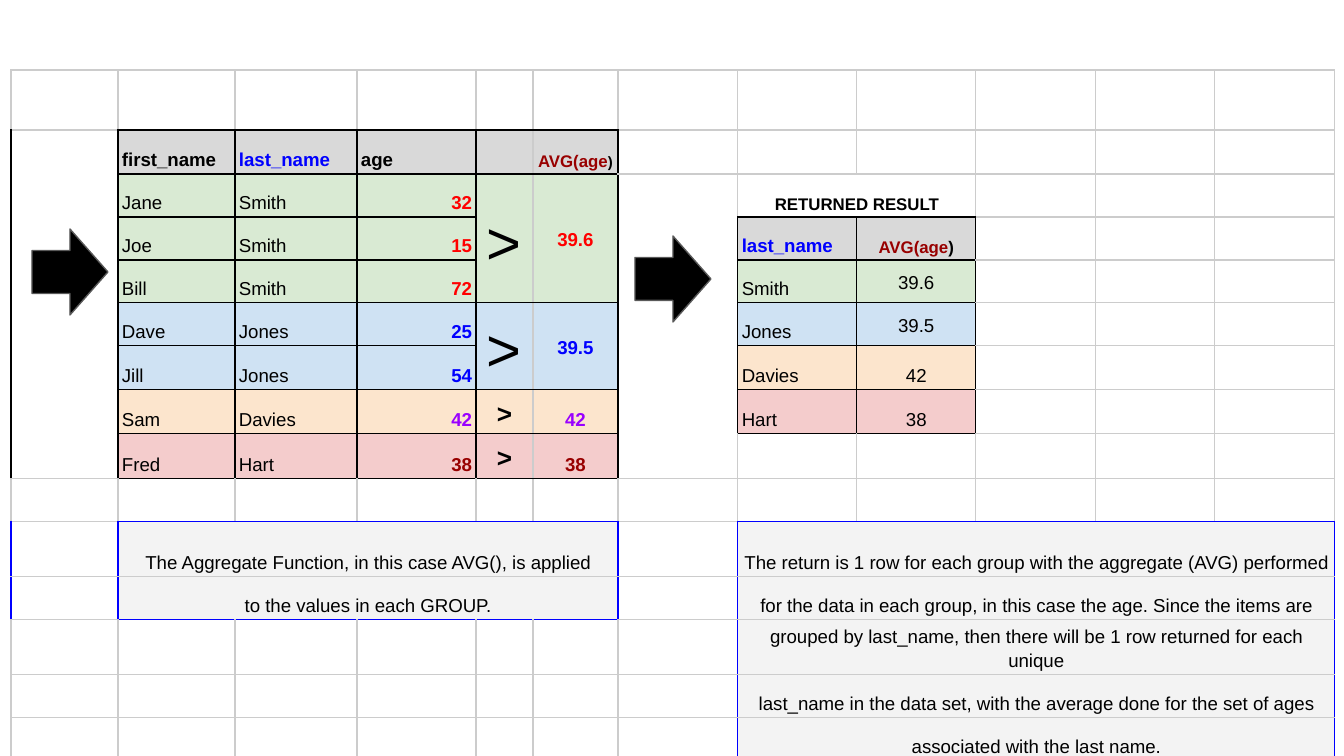
import pptx
import pptx.util
import pptx.dml.color
import pptx.enum.shapes
import pptx.enum.text
import pptx.oxml.ns
from lxml import etree

UNIT = 914400 / 134.4
HUES = {
    "black": "000000", "line": "CCCCCC", "blue": "0000FF", "red": "FF0000",
    "wine": "980000", "plum": "9900FF", "head": "D9D9D9", "note": "F3F3F3",
    "green": "D9EAD3", "sky": "CFE2F3", "peach": "FCE5CD", "rose": "F4CCCC",
    "rim": "595959",
}
ALIGN = pptx.enum.text.PP_ALIGN
ANCHOR = pptx.enum.text.MSO_ANCHOR
LEFT, MID, RIGHT = ALIGN.LEFT, ALIGN.CENTER, ALIGN.RIGHT
LOW, HALF = ANCHOR.BOTTOM, ANCHOR.MIDDLE


def px(n):
    return pptx.util.Emu(round(n * UNIT))


def rgb(hue):
    return pptx.dml.color.RGBColor.from_string(HUES[hue])


deck = pptx.Presentation()
deck.slide_width, deck.slide_height = px(1344), px(756)
slide = deck.slides.add_slide(deck.slide_layouts[6])

# Grid
wide = [107, 117, 122, 119, 57, 85, 120, 119, 119, 120, 119, 120]
high = [60, 44, 43, 43, 43, 43, 44, 44, 45, 43, 55, 43, 55, 43, 43]
rows, cols = len(high), len(wide)
frame = slide.shapes.add_table(rows, cols, px(11), px(70), px(sum(wide)), px(sum(high)))
grid = frame.table
grid.first_row = grid.horz_banding = False
style = grid._tbl.tblPr.find(pptx.oxml.ns.qn("a:tableStyleId"))
style.text = "{2D5ABB26-0587-4C30-8999-92F81FD0307C}"
for col, size in zip(grid.columns, wide):
    col.width = px(size)
for row, size in zip(grid.rows, high):
    row.height = px(size)

# Cell contents: (row, column): (runs, align, anchor, fill), a run is (text, format)
base = {"size": 10, "bold": False, "hue": "black"}
bold = {**base, "bold": True}
blue = {**bold, "hue": "blue"}
wine = {**bold, "hue": "wine", "size": 9}
small = {**bold, "size": 9}
cells = {
    (1, 1): ([("first_name", bold)], LEFT, LOW, "head"),
    (1, 2): ([("last_name", blue)], LEFT, LOW, "head"),
    (1, 3): ([("age", bold)], LEFT, LOW, "head"),
    (1, 4): ([], LEFT, LOW, "head"),
    (1, 5): ([("AVG(age", wine), (")", {**bold, "size": 8})], MID, LOW, "head"),
    (2, 7): ([("RETURNED RESULT", small)], MID, LOW, None),
    (3, 7): ([("last_name", blue)], LEFT, LOW, "head"),
    (3, 8): ([("AVG(age", wine), (")", small)], MID, LOW, "head"),
}
spans = {(1, 0): (8, 1), (2, 6): (7, 1), (2, 7): (1, 2)}
groups = [
    ("Smith", [("Jane", "32"), ("Joe", "15"), ("Bill", "72")], "39.6", "green", "red"),
    ("Jones", [("Dave", "25"), ("Jill", "54")], "39.5", "sky", "blue"),
    ("Davies", [("Sam", "42")], "42", "peach", "plum"),
    ("Hart", [("Fred", "38")], "38", "rose", "wine"),
]
top = 2
for i, (last, folk, mean, fill, hue) in enumerate(groups):
    tint = {**bold, "hue": hue}
    many = len(folk) > 1
    sign = {**base, "size": 32} if many else {**bold, "size": 14}
    place = HALF if many else LOW
    cells[top, 4] = ([(">", sign)], MID, HALF, fill)
    cells[top, 5] = ([(mean, tint)], MID, place, fill)
    cells[4 + i, 7] = ([(last, base)], LEFT, LOW, fill)
    cells[4 + i, 8] = ([(mean, base)], MID, place, fill)
    if many:
        spans[top, 4] = spans[top, 5] = (len(folk), 1)
    for name, age in folk:
        cells[top, 1] = ([(name, base)], LEFT, LOW, fill)
        cells[top, 2] = ([(last, base)], LEFT, LOW, fill)
        cells[top, 3] = ([(age, tint)], RIGHT, LOW, fill)
        top += 1

notes = {
    1: ["The Aggregate Function, in this case AVG(), is applied",
        "to the values in each GROUP."],
    7: ["The return is 1 row for each group with the aggregate (AVG) performed",
        "for the data in each group, in this case the age. Since the items are",
        "grouped by last_name, then there will be 1 row returned for each unique",
        "last_name in the data set, with the average done for the set of ages",
        "associated with the last name."],
}
for c, lines in notes.items():
    for r, line in enumerate(lines, 10):
        cells[r, c] = ([(line, base)], MID, LOW, "note")
        spans[r, c] = (1, 5)

# Edges: "h" lies above a cell, "v" lies to its left
edges = {("h", r, c): "line" for r in range(rows + 1) for c in range(cols)}
edges.update({("v", r, c): "line" for r in range(rows) for c in range(cols + 1)})
for r0, r1, c0, c1 in [(1, 9, 1, 6), (3, 8, 7, 9)]:
    edges.update({("h", r, c): "black" for r in range(r0, r1 + 1) for c in range(c0, c1)})
    edges.update({("v", r, c): "black" for r in range(r0, r1) for c in range(c0, c1 + 1)})
for r in range(1, 9):
    edges["v", r, 0] = "black"
    edges["v", r, 5] = "line"
for c, lines in notes.items():
    end = 10 + len(lines)
    edges.update({("h", r, k): "blue" for r in (10, end) for k in range(c, c + 5)})
    edges.update({("v", r, k): "blue" for r in range(10, end) for k in (c, c + 5)})
for r in (10, 11):
    edges["v", r, 0] = "blue"

# Merges drop the edges inside them
for (r, c), (tall, broad) in spans.items():
    grid.cell(r, c).merge(grid.cell(r + tall - 1, c + broad - 1))
    for y in range(r, r + tall):
        for x in range(c, c + broad):
            if y > r:
                edges.pop(("h", y, x))
            if x > c:
                edges.pop(("v", y, x))

# Fill the grid
for r in range(rows):
    for c in range(cols):
        cell = grid.cell(r, c)
        runs, align, anchor, fill = cells.get((r, c), ([], LEFT, LOW, None))
        tall, broad = spans.get((r, c), (1, 1))
        sides = {"L": ("v", r, c), "R": ("v", r, c + broad),
                 "T": ("h", r, c), "B": ("h", r + tall, c)}
        pad = px(3) if runs else 0
        form = {"margin_left": px(4), "margin_right": px(4), "margin_top": pad,
                "margin_bottom": pad, "vertical_anchor": anchor}
        for key, val in form.items():
            setattr(cell, key, val)
        props = cell._tc.get_or_add_tcPr()
        for side, key in sides.items():
            if key in edges:
                line = etree.SubElement(props, pptx.oxml.ns.qn("a:ln" + side), w="10500")
                paint = etree.SubElement(line, pptx.oxml.ns.qn("a:solidFill"))
                etree.SubElement(paint, pptx.oxml.ns.qn("a:srgbClr"), val=HUES[edges[key]])
        if fill:
            cell.fill.solid()
            cell.fill.fore_color.rgb = rgb(fill)
        else:
            cell.fill.background()
        para = cell.text_frame.paragraphs[0]
        if runs:
            para.alignment, para.line_spacing = align, 1.15
        for text, look in runs:
            run = para.add_run()
            run.text = text
            font = {"name": "Arial", "size": pptx.util.Pt(look["size"]), "bold": look["bold"]}
            for key, val in font.items():
                setattr(run.font, key, val)
            run.font.color.rgb = rgb(look["hue"])

# Arrows
for x, y in [(32, 229), (635, 236)]:
    arrow = slide.shapes.add_shape(
        pptx.enum.shapes.MSO_SHAPE.RIGHT_ARROW, px(x), px(y), px(76), px(86))
    arrow.shadow.inherit = False
    arrow.fill.solid()
    arrow.fill.fore_color.rgb = rgb("black")
    arrow.line.color.rgb = rgb("rim")
    arrow.line.width = pptx.util.Pt(0.75)

deck.save("out.pptx")
